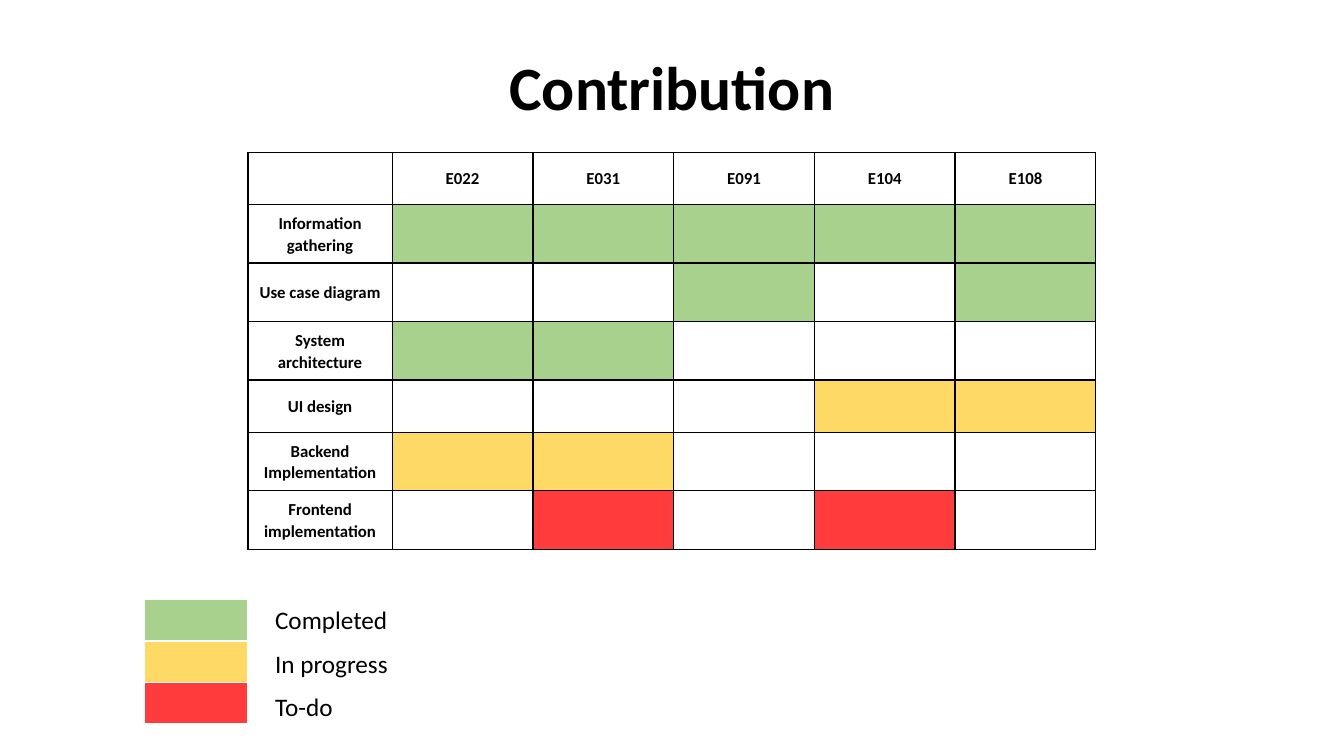
from lxml.etree import SubElement
from pptx import Presentation
from pptx.dml.color import RGBColor
from pptx.enum.text import MSO_ANCHOR, MSO_AUTO_SIZE, PP_ALIGN
from pptx.oxml.ns import qn
from pptx.util import Inches, Pt

BLACK, WHITE = "000000", "FFFFFF"
STATUS = {
    "G": ("Completed", "A9D18E"),
    "Y": ("In progress", "FFD966"),
    "R": ("To-do", "FF3B3B"),
}
MEMBERS = ["E022", "E031", "E091", "E104", "E108"]
TASKS = [
    ("Information gathering", "GGGGG", 0.58),
    ("Use case diagram", "--G-G", 0.58),
    ("System architecture", "GG---", 0.58),
    ("UI design", "---YY", 0.52),
    ("Backend Implementation", "YY---", 0.58),
    ("Frontend implementation", "-R-R-", 0.58),
]


def color(value):
    """Turn a hex string into a colour."""
    return RGBColor.from_string(value)


class SlideBuilder:
    """Holds the slide and its style, and adds each kind of element."""

    font = "Calibri"

    def __init__(self, presentation):
        """Add a title-only slide."""
        self.slide = presentation.slides.add_slide(presentation.slide_layouts[5])

    def format_text(self, text_frame, size, bold=False, align=PP_ALIGN.LEFT, spacing=1.0):
        """Apply the text style to every paragraph."""
        for paragraph in text_frame.paragraphs:
            paragraph.alignment = align
            paragraph.line_spacing = spacing
            for run in paragraph.runs:
                run.font.name = self.font
                run.font.size = Pt(size)
                run.font.bold = bold
                run.font.color.rgb = color(BLACK)

    def title(self, text, left, top, width, height):
        """Place and format the title."""
        shape = self.slide.shapes.title
        shape.left, shape.top = Inches(left), Inches(top)
        shape.width, shape.height = Inches(width), Inches(height)
        shape.text_frame.text = text
        shape.text_frame.vertical_anchor = MSO_ANCHOR.MIDDLE
        self.format_text(shape.text_frame, 44, True, PP_ALIGN.CENTER, 0.9)

    def label(self, text, left, top, width, height):
        """Add a legend label."""
        box = self.slide.shapes.add_textbox(
            Inches(left), Inches(top), Inches(width), Inches(height)
        )
        box.text_frame.text = text
        box.text_frame.word_wrap = True
        box.text_frame.auto_size = MSO_AUTO_SIZE.SHAPE_TO_FIT_TEXT
        self.format_text(box.text_frame, 18)

    def table(self, left, top, widths, heights, border):
        """Add an unfilled table with an even grid of borders."""
        table = self.slide.shapes.add_table(
            len(heights), len(widths), Inches(left), Inches(top),
            Inches(sum(widths)), Inches(sum(heights)),
        ).table
        table.first_row = table.horz_banding = False
        for column, width in zip(table.columns, widths):
            column.width = Inches(width)
        for row, height in zip(table.rows, heights):
            row.height = Inches(height)
        for cell in table.iter_cells():
            self.borders(cell, border)
            cell.fill.background()
            cell.margin_left = cell.margin_right = Inches(0.07)
            cell.margin_top = cell.margin_bottom = 0
            cell.vertical_anchor = MSO_ANCHOR.MIDDLE
        return table

    def borders(self, cell, border):
        """Draw the four borders of a cell."""
        properties = cell._tc.get_or_add_tcPr()
        for side in ("a:lnL", "a:lnR", "a:lnT", "a:lnB"):
            line = SubElement(properties, qn(side), w=str(Pt(1)))
            fill = SubElement(line, qn("a:solidFill"))
            SubElement(fill, qn("a:srgbClr"), val=border)

    def heading(self, cell, text):
        """Write a row or column heading."""
        cell.text_frame.text = text
        self.format_text(cell.text_frame, 12, True, PP_ALIGN.CENTER, 1.07)

    def paint(self, cell, status):
        """Fill a cell with the colour of its status."""
        cell.fill.solid()
        cell.fill.fore_color.rgb = color(STATUS[status][1])


def main():
    """Build the contribution slide."""
    presentation = Presentation()
    presentation.slide_width, presentation.slide_height = Inches(13.33), Inches(7.5)
    builder = SlideBuilder(presentation)
    builder.title("Contribution", 3.67, 0.17, 5.99, 1.45)

    widths = [1.43] + [1.396] * len(MEMBERS)
    heights = [0.52] + [height for _, _, height in TASKS]
    grid = builder.table(2.46, 1.51, widths, heights, BLACK)
    for column, member in enumerate(MEMBERS, 1):
        builder.heading(grid.cell(0, column), member)
    for row, (task, statuses, _) in enumerate(TASKS, 1):
        builder.heading(grid.cell(row, 0), task)
        for column, status in enumerate(statuses, 1):
            if status in STATUS:
                builder.paint(grid.cell(row, column), status)

    legend = builder.table(1.43, 5.95, [1.03], [0.41] * len(STATUS), WHITE)
    for row, (status, (name, _)) in enumerate(STATUS.items()):
        builder.paint(legend.cell(row, 0), status)
        builder.label(name, 2.63, 5.95 + 0.43 * row, 1.65, 0.4)

    presentation.save("out.pptx")


if __name__ == "__main__":
    main()
